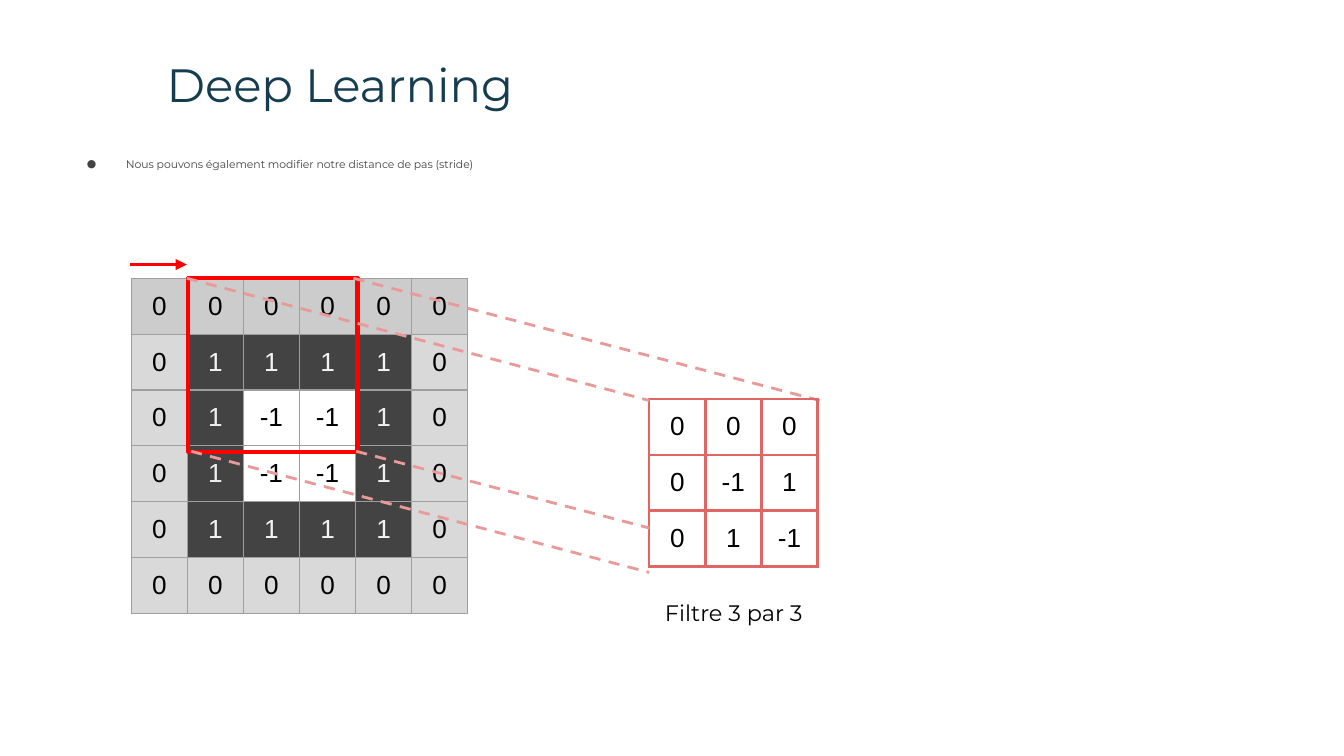
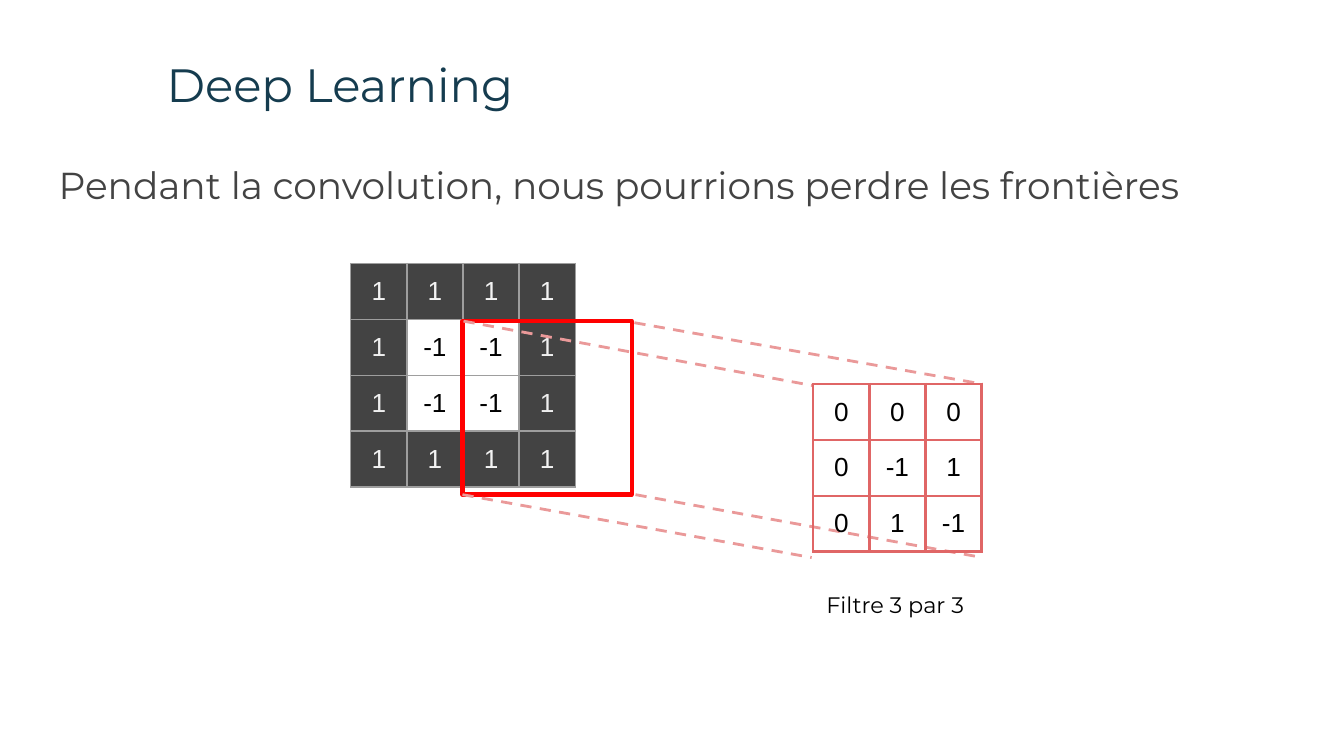
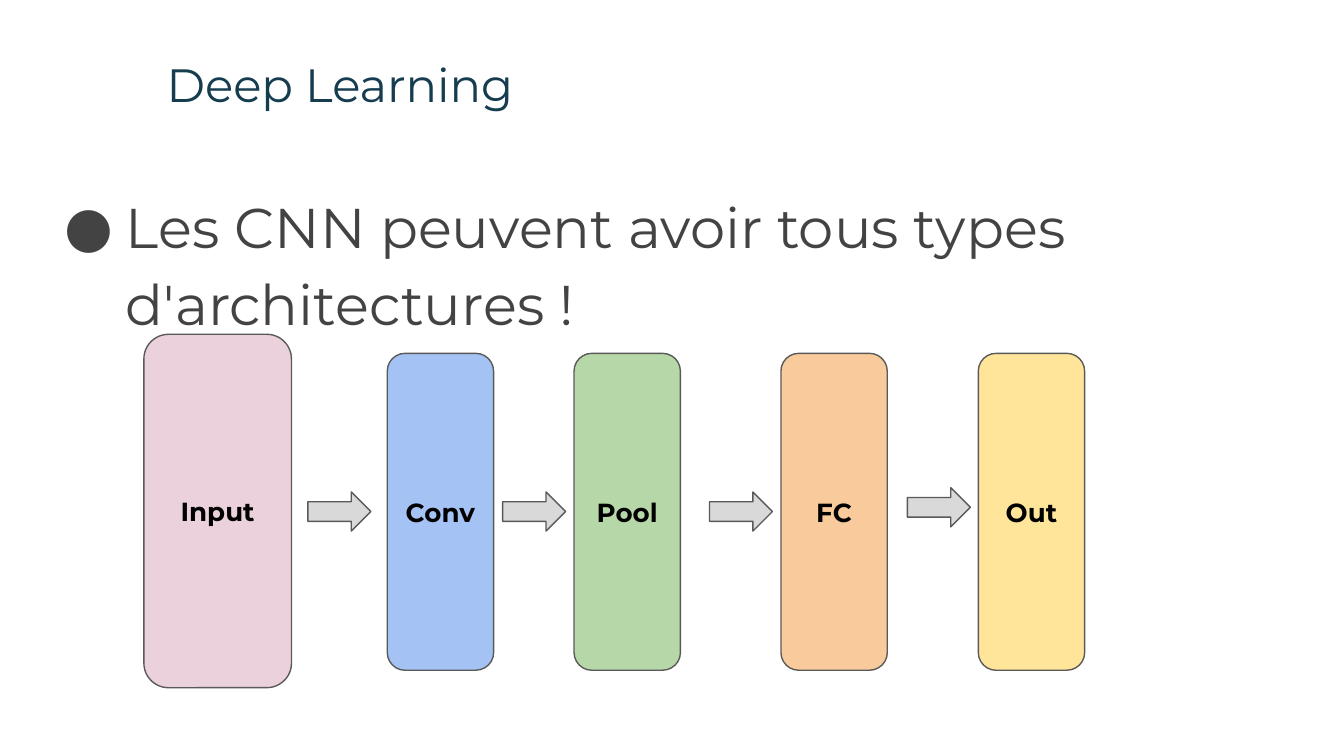
from pptx import Presentation, util as u
from pptx.dml import color as dml_color
from pptx.enum import dml, shapes, text
from pptx.oxml import ns
from lxml import etree

MONTSERRAT, ARIAL = "Montserrat", "Arial"
NAVY, DARK, BLACK, RED = "153C4F", "434343", "000000", "FF0000"
PINK, CORAL, GREY, OUTLINE = "EA9999", "E06666", "9E9E9E", "595959"
COLUMN_WIDTH, ROW_HEIGHT, INSET = 1.06, 1.02, 0.25

FILTER = [[0, 0, 0], [0, -1, 1], [0, 1, -1]]
IMAGE = [[1, 1, 1, 1], [1, -1, -1, 1], [1, -1, -1, 1], [1, 1, 1, 1]]
PADDED = [[0] * 6, *[[0, *row, 0] for row in IMAGE], [0] * 6]


def rgb(hex_string):
    """Turn a hex string into a colour."""
    return dml_color.RGBColor.from_string(hex_string)


def add_xml(parent, tag, **attributes):
    """Append a DrawingML element to a parent."""
    return etree.SubElement(parent, ns.qn(tag), attributes)


def image_style(row, column, rows):
    """Give the fill and text colour of an image cell."""
    value = rows[row][column]
    if value == -1:
        return None, BLACK
    if value == 1:
        return DARK, "EFEFEF" if -1 in rows[row] else "F3F3F3"
    return ("CCCCCC" if row == 0 else "D9D9D9"), BLACK


def filter_style(row, column, rows):
    """Give the fill and text colour of a filter cell."""
    return None, BLACK


class Deck:
    """Hold the shared style and the current slide."""

    def __init__(self):
        """Open a widescreen presentation."""
        self.presentation = Presentation()
        self.presentation.slide_width = u.Cm(25.4)
        self.presentation.slide_height = u.Cm(14.29)
        self.slide = None

    def add_slide(self, title):
        """Start a slide with its title."""
        self.slide = self.presentation.slides.add_slide(self.presentation.slide_layouts[1])
        paragraph = self.place(self.slide.shapes.title, 2.9, 0.81, 21.64, 1.6)
        paragraph.alignment = text.PP_ALIGN.LEFT
        self.run(paragraph, title, 25, NAVY)

    def place(self, shape, left, top, width, height, anchor=text.MSO_ANCHOR.TOP):
        """Position a text shape and return its first paragraph."""
        shape.left, shape.top = u.Cm(left), u.Cm(top)
        shape.width, shape.height = u.Cm(width), u.Cm(height)
        frame = shape.text_frame
        frame.word_wrap = True
        frame.auto_size = text.MSO_AUTO_SIZE.NONE
        frame.vertical_anchor = anchor
        frame.margin_left = frame.margin_right = u.Cm(INSET)
        frame.margin_top = frame.margin_bottom = u.Cm(INSET)
        return frame.paragraphs[0]

    def run(self, paragraph, words, size, color, font=MONTSERRAT, bold=False):
        """Add one styled run."""
        run = paragraph.add_run()
        run.text = words
        run.font.name, run.font.size, run.font.bold = font, u.Pt(size), bold
        run.font.color.rgb = rgb(color)

    def body(self, words, size, top=2.69, height=1.73, hanging=None):
        """Fill the body placeholder, bulleted when a hanging indent is given."""
        paragraph = self.place(self.slide.placeholders[1], 0.86, top, 23.67, height)
        properties = paragraph._p.get_or_add_pPr()
        properties.set("marL", str(u.Cm(1.27 if hanging else 0)))
        properties.set("indent", str(-u.Cm(hanging or 0)))
        if hanging:
            add_xml(add_xml(properties, "a:buClr"), "a:srgbClr", val=DARK)
            add_xml(properties, "a:buFont", typeface=MONTSERRAT)
            add_xml(properties, "a:buChar", char="●")
        else:
            add_xml(properties, "a:buNone")
            paragraph.space_after = u.Pt(12)
        paragraph.space_before = u.Pt(0)
        paragraph.line_spacing = 1.15
        self.run(paragraph, words, size, DARK)

    def caption(self, words, left, top):
        """Add a centred caption."""
        box = self.slide.shapes.add_textbox(0, 0, 0, 0)
        paragraph = self.place(box, left, top, 3.66, 1.09)
        paragraph.alignment = text.PP_ALIGN.CENTER
        self.run(paragraph, words, 12, BLACK)

    def grid(self, rows, left, top, border, border_width, style):
        """Add a table of pixel or filter values."""
        count = len(rows)
        table = self.slide.shapes.add_table(
            count, count, u.Cm(left), u.Cm(top),
            u.Cm(COLUMN_WIDTH * count), u.Cm(ROW_HEIGHT * count)).table
        table.first_row = table.horz_banding = False
        for index in range(count):
            table.columns[index].width = u.Cm(COLUMN_WIDTH)
            table.rows[index].height = u.Cm(ROW_HEIGHT)
        for row, values in enumerate(rows):
            for column, value in enumerate(values):
                cell = table.cell(row, column)
                cell.margin_left = cell.margin_right = u.Cm(INSET)
                cell.margin_top = cell.margin_bottom = u.Cm(INSET)
                self.borders(cell, border, border_width)
                fill, color = style(row, column, rows)
                self.fill(cell, fill)
                paragraph = cell.text_frame.paragraphs[0]
                paragraph.alignment = text.PP_ALIGN.CENTER
                self.run(paragraph, str(value), 14, color, ARIAL)

    def borders(self, cell, color, width):
        """Draw the four borders of a cell."""
        properties = cell._tc.get_or_add_tcPr()
        for side in ("a:lnL", "a:lnR", "a:lnT", "a:lnB"):
            line = add_xml(properties, side, w=str(u.Pt(width)))
            add_xml(add_xml(line, "a:solidFill"), "a:srgbClr", val=color)

    def fill(self, element, color):
        """Fill a shape or cell, or leave it empty."""
        if color:
            element.fill.solid()
            element.fill.fore_color.rgb = rgb(color)
        else:
            element.fill.background()

    def shape(self, kind, left, top, width, height, fill, line=OUTLINE, line_width=0.75):
        """Add a preset shape."""
        shape = self.slide.shapes.add_shape(
            kind, u.Cm(left), u.Cm(top), u.Cm(width), u.Cm(height))
        shape.shadow.inherit = False
        self.fill(shape, fill)
        shape.line.color.rgb = rgb(line)
        shape.line.width = u.Pt(line_width)
        return shape

    def window(self, left, top):
        """Outline the pixels under the filter."""
        self.shape(shapes.MSO_SHAPE.RECTANGLE, left, top, 3.2, 3.28, None, RED, 2.25)

    def block(self, label, left, top, width, height, fill):
        """Add a labelled network layer."""
        shape = self.shape(shapes.MSO_SHAPE.ROUNDED_RECTANGLE, left, top, width, height, fill)
        paragraph = self.place(shape, left, top, width, height, text.MSO_ANCHOR.MIDDLE)
        paragraph.alignment = text.PP_ALIGN.CENTER
        self.run(paragraph, label, 14, BLACK, bold=True)

    def line(self, start_x, start_y, end_x, end_y, color=PINK, arrow=False):
        """Add a dashed projection line or a solid arrow."""
        connector = self.slide.shapes.add_connector(
            shapes.MSO_CONNECTOR.STRAIGHT,
            u.Cm(start_x), u.Cm(start_y), u.Cm(end_x), u.Cm(end_y))
        connector.line.color.rgb = rgb(color)
        connector.line.width = u.Pt(1.5)
        properties = connector._element.spPr
        if arrow:
            add_xml(properties.find(ns.qn("a:ln")), "a:tailEnd", type="triangle")
        else:
            connector.line.dash_style = dml.MSO_LINE.DASH
        add_xml(properties, "a:effectLst")


def stride_slide(deck):
    """Build the slide on the stride."""
    deck.add_slide("Deep Learning")
    deck.body("Nous pouvons également modifier notre distance de pas (stride)", 5.8, hanging=0.74)
    deck.grid(PADDED, 2.48, 5.26, GREY, 0.75, image_style)
    deck.window(3.56, 5.26)
    deck.line(6.68, 5.26, 15.49, 7.57)
    deck.grid(FILTER, 12.27, 7.54, CORAL, 1.5, filter_style)
    deck.caption("Filtre 3 par 3", 12.04, 11.07)
    for ends in ((3.53, 5.26, 12.27, 7.57), (3.61, 8.53, 12.27, 10.82), (6.73, 8.53, 12.27, 9.98)):
        deck.line(*ends)
    deck.line(2.46, 5, 3.53, 5, RED, arrow=True)


def border_slide(deck):
    """Build the slide on lost borders."""
    deck.add_slide("Deep Learning")
    deck.body("Pendant la convolution, nous pourrions perdre les frontières", 20.1)
    deck.grid(IMAGE, 6.63, 4.98, GREY, 0.75, image_style)
    deck.window(8.74, 6.07)
    deck.caption("Filtre 3 par 3", 15.09, 10.92)
    for ends in ((11.99, 6.1, 18.57, 7.26), (8.76, 6.07, 15.37, 7.29),
                 (8.74, 9.35, 15.34, 10.54), (12.01, 9.35, 18.57, 10.54)):
        deck.line(*ends)
    deck.grid(FILTER, 15.37, 7.26, CORAL, 1.5, filter_style)


def architecture_slide(deck):
    """Build the slide on network architectures."""
    deck.add_slide("Deep Learning")
    deck.body("Les CNN peuvent avoir tous types d'architectures !", 30, 3.2, 9.5, 1.17)
    deck.block("Input", 2.72, 6.32, 2.79, 6.68, "EAD1DC")
    layers = (("Conv", 7.32, "A4C2F4"), ("Pool", 10.85, "B6D7A8"),
              ("FC", 14.76, "F9CB9C"), ("Out", 18.49, "FFE599"))
    for label, left, fill in layers:
        deck.block(label, left, 6.68, 2.01, 5.99, fill)
    for left, top in ((5.82, 9.3), (9.5, 9.3), (13.41, 9.3), (17.15, 9.22)):
        deck.shape(shapes.MSO_SHAPE.RIGHT_ARROW, left, top, 1.19, 0.74, "D9D9D9")


def main():
    """Build and save the presentation."""
    deck = Deck()
    stride_slide(deck)
    border_slide(deck)
    architecture_slide(deck)
    deck.presentation.save("out.pptx")


if __name__ == "__main__":
    main()
